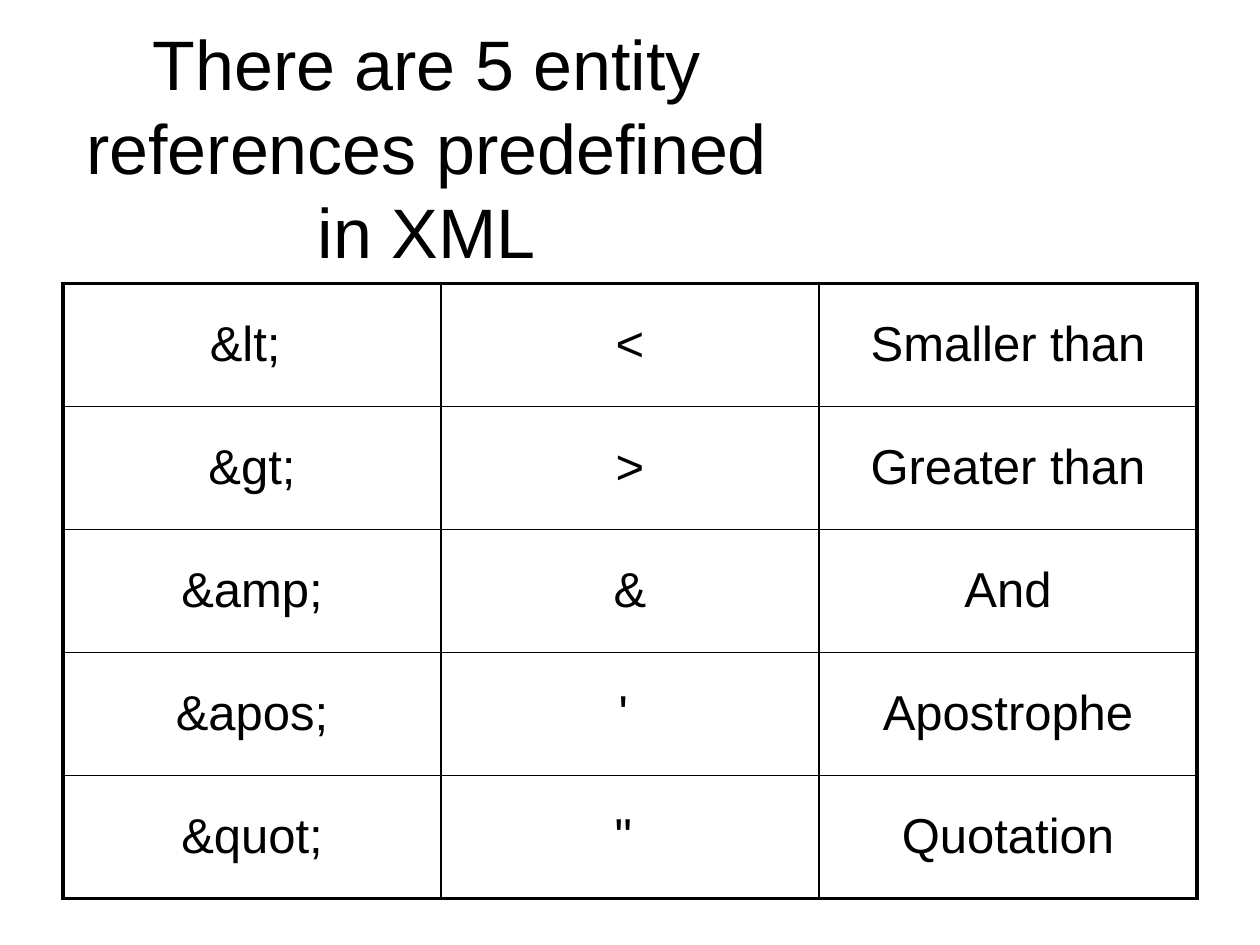
"""Build a slide listing the predefined XML entity references in a table."""
import dataclasses

import lxml.etree
import pptx
import pptx.dml.color
import pptx.enum.text
import pptx.oxml.ns
import pptx.util

Inches = pptx.util.Inches
Pt = pptx.util.Pt
qn = pptx.oxml.ns.qn

COLORS = {"text": "000000", "border": "000000"}
FONT = "Arial"
OUTER_BORDER = Pt(2.25)
INNER_BORDER = Pt(1)


@dataclasses.dataclass(frozen=True)
class Entity:
    reference: str
    symbol: str
    meaning: str


ENTITIES = [
    Entity("&lt; ", "<", "Smaller than"),
    Entity("&gt;", ">", "Greater than"),
    Entity("&amp;", "&", "And"),
    Entity("&apos;", "' ", "Apostrophe"),
    Entity("&quot;", '" ', "Quotation"),
]


def style_paragraph(paragraph, size: float) -> None:
    paragraph.alignment = pptx.enum.text.PP_ALIGN.CENTER
    paragraph.font.name = FONT
    paragraph.font.size = Pt(size)
    paragraph.font.color.rgb = pptx.dml.color.RGBColor.from_string(COLORS["text"])


def set_relative_space_before(paragraph, percent: int) -> None:
    paragraph.space_before = Pt(0)
    spacing = paragraph._p.pPr.find(qn("a:spcBef"))
    spacing.clear()
    lxml.etree.SubElement(spacing, qn("a:spcPct"), val=str(percent * 1000))


def add_border(cell, side: str, width: int) -> None:
    properties = cell._tc.get_or_add_tcPr()
    line = lxml.etree.SubElement(properties, qn(f"a:ln{side}"), w=str(width))
    fill = lxml.etree.SubElement(line, qn("a:solidFill"))
    lxml.etree.SubElement(fill, qn("a:srgbClr"), val=COLORS["border"])


def add_title(slide, text: str) -> None:
    title = slide.shapes.title
    title.left, title.top = Inches(0.5), Inches(0.3)
    title.width, title.height = Inches(5.77), Inches(1.72)
    frame = title.text_frame
    frame.text = text
    frame.word_wrap = True
    frame.auto_size = pptx.enum.text.MSO_AUTO_SIZE.NONE
    frame.vertical_anchor = pptx.enum.text.MSO_ANCHOR.MIDDLE
    style_paragraph(frame.paragraphs[0], 40)


def add_entity_table(slide, entities: list[Entity]) -> None:
    rows = [dataclasses.astuple(entity) for entity in entities]
    last_row, last_column = len(rows) - 1, len(rows[0]) - 1
    table = slide.shapes.add_table(
        len(rows), len(rows[0]), Inches(0.5), Inches(2.25), Inches(9), Inches(4.88)
    ).table
    table.first_row = False
    table.horz_banding = False
    for row, texts in enumerate(rows):
        for column, text in enumerate(texts):
            cell = table.cell(row, column)
            cell.text = text
            paragraph = cell.text_frame.paragraphs[0]
            style_paragraph(paragraph, 28)
            paragraph.line_spacing = 1.5
            set_relative_space_before(paragraph, 70)
            outer_sides = {
                "L": column == 0,
                "R": column == last_column,
                "T": row == 0,
                "B": row == last_row,
            }
            for side, is_outer in outer_sides.items():
                add_border(cell, side, OUTER_BORDER if is_outer else INNER_BORDER)
            cell.fill.background()


def main() -> None:
    deck = pptx.Presentation()
    deck.slide_width, deck.slide_height = Inches(10), Inches(7.5)
    slide = deck.slides.add_slide(deck.slide_layouts.get_by_name("Title Only"))
    add_title(slide, "There are 5 entity references predefined in XML")
    add_entity_table(slide, ENTITIES)
    deck.save("out.pptx")


if __name__ == "__main__":
    main()
